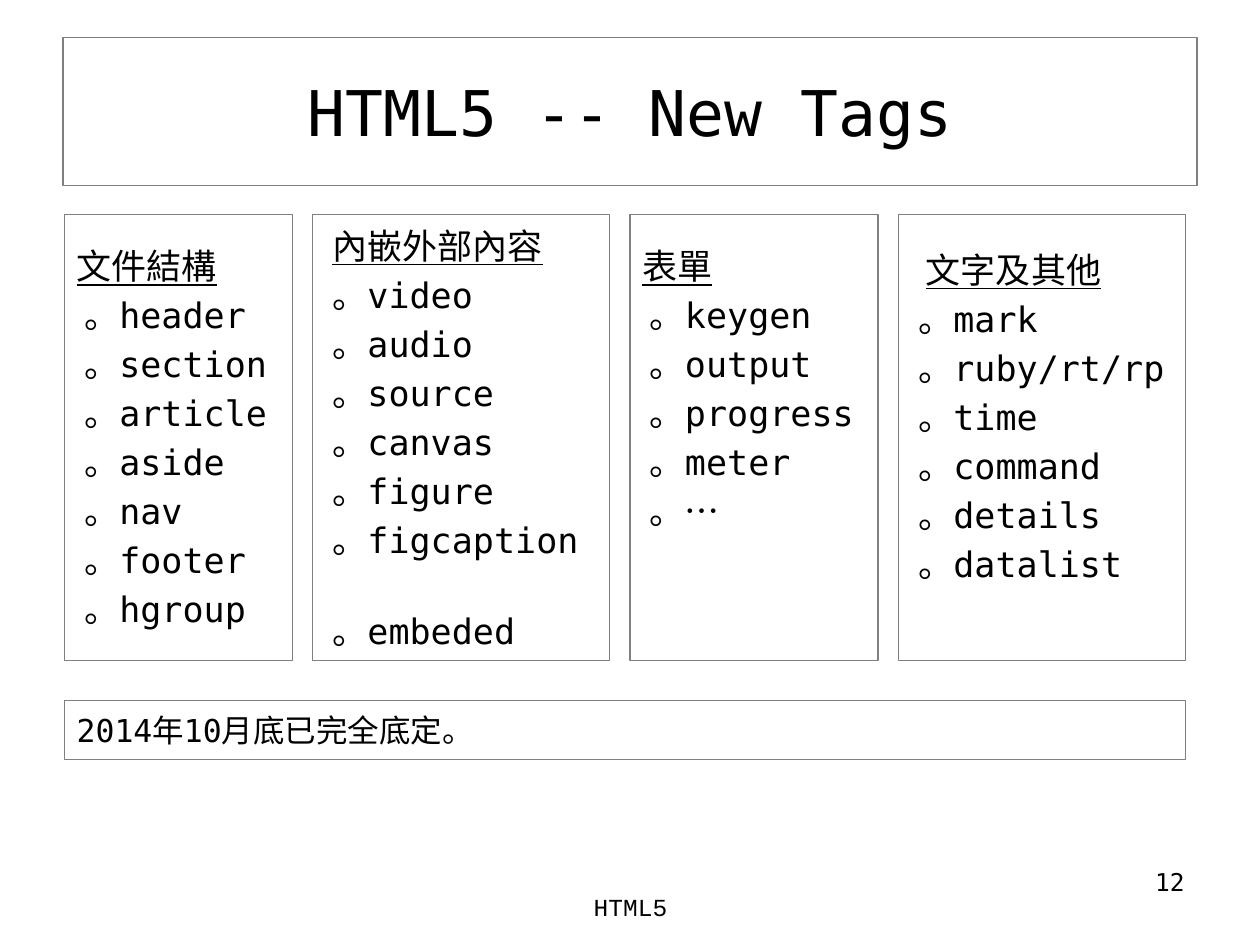
import pptx
import pptx.dml.color
import pptx.enum.shapes
import pptx.enum.text
import pptx.util

Inches, Pt = pptx.util.Inches, pptx.util.Pt
ALIGN = pptx.enum.text.PP_ALIGN
ANCHOR = pptx.enum.text.MSO_ANCHOR
MONO = "DejaVu Sans Mono"
GAP = 0.16
TAG_INDENT = 0.06

# Width, top inset, heading indent, heading, tags
COLUMNS = [
    (1.81, 0.24, 0, "文件結構",
     ["header", "section", "article", "aside", "nav", "footer", "hgroup"]),
    (2.36, 0.08, 0.06, "內嵌外部內容",
     ["video", "audio", "source", "canvas", "figure", "figcaption", "embeded"]),
    (1.97, 0.24, 0, "表單",
     ["keygen", "output", "progress", "meter", "…"]),
    (2.28, 0.27, 0.12, "文字及其他",
     ["mark", "ruby/rt/rp", "time", "command", "details", "datalist"]),
]
EXTRA_SPACE = {"embeded": 24}


def color(value):
    return pptx.dml.color.RGBColor.from_string(value)


def add_run(p, text, size, font=MONO, underline=None):
    r = p.add_run()
    r.text = text
    r.font.size = Pt(size)
    r.font.name = font
    r.font.underline = underline
    r.font.color.rgb = color("000000")


def outline(s, line):
    s.fill.background()
    s.line.color.rgb = color(line)
    s.line.width = Pt(0.75)


def set_indent(p, left):
    pPr = p._p.get_or_add_pPr()
    pPr.set("marL", str(Inches(left)))
    pPr.set("indent", "0")


def add_title(slide, left, top, width, height):
    s = slide.shapes.title
    s.left, s.top = Inches(left), Inches(top)
    s.width, s.height = Inches(width), Inches(height)
    outline(s, "7F7F7F")
    tf = s.text_frame
    tf.vertical_anchor = ANCHOR.MIDDLE
    p = tf.paragraphs[0]
    p.alignment = ALIGN.CENTER
    add_run(p, "HTML5 -- New Tags", 36)


def add_box(slide, left, top, width, height):
    s = slide.shapes.add_shape(pptx.enum.shapes.MSO_SHAPE.RECTANGLE, Inches(left),
                               Inches(top), Inches(width), Inches(height))
    s.shadow.inherit = False
    outline(s, "808080")
    tf = s.text_frame
    tf.word_wrap = True
    tf.vertical_anchor = ANCHOR.MIDDLE
    tf.paragraphs[0].alignment = ALIGN.LEFT
    return tf


def add_column(slide, left, top, width, height, inset, indent, heading, tags):
    tf = add_box(slide, left, top, width, height)
    tf.vertical_anchor = ANCHOR.TOP
    tf.margin_top = Inches(inset)
    tf.margin_right = Inches(0)
    p = tf.paragraphs[0]
    set_indent(p, indent)
    add_run(p, heading, 20, underline=True)
    for tag in tags:
        p = tf.add_paragraph()
        p.alignment = ALIGN.LEFT
        p.space_before = Pt(4 + EXTRA_SPACE.get(tag, 0))
        set_indent(p, TAG_INDENT)
        add_run(p, "。" + tag, 20)


def add_columns(slide, left, top, height):
    for width, inset, indent, heading, tags in COLUMNS:
        add_column(slide, left, top, width, height, inset, indent, heading, tags)
        left += width + GAP


def add_note(slide, left, top, width, height):
    tf = add_box(slide, left, top, width, height)
    add_run(tf.paragraphs[0], "2014年10月底已完全底定。", 18)


def add_footer(slide, left, top, width, height, text, align, font):
    s = slide.shapes.add_textbox(Inches(left), Inches(top), Inches(width), Inches(height))
    s.text_frame.word_wrap = True
    p = s.text_frame.paragraphs[0]
    p.alignment = align
    add_run(p, text, 14, font)


def main():
    prs = pptx.Presentation()
    prs.slide_width, prs.slide_height = Inches(10), Inches(7.5)
    slide = prs.slides.add_slide(prs.slide_layouts[5])
    add_title(slide, 0.5, 0.3, 9, 1.17)
    add_columns(slide, 0.51, 1.7, 3.54)
    add_note(slide, 0.51, 5.56, 8.9, 0.47)
    add_footer(slide, 7.17, 6.83, 2.33, 0.52, "12", ALIGN.RIGHT, MONO)
    add_footer(slide, 3.42, 7.03, 3.17, 0.5, "HTML5", ALIGN.CENTER, "Courier New")
    prs.save("out.pptx")


if __name__ == "__main__":
    main()
